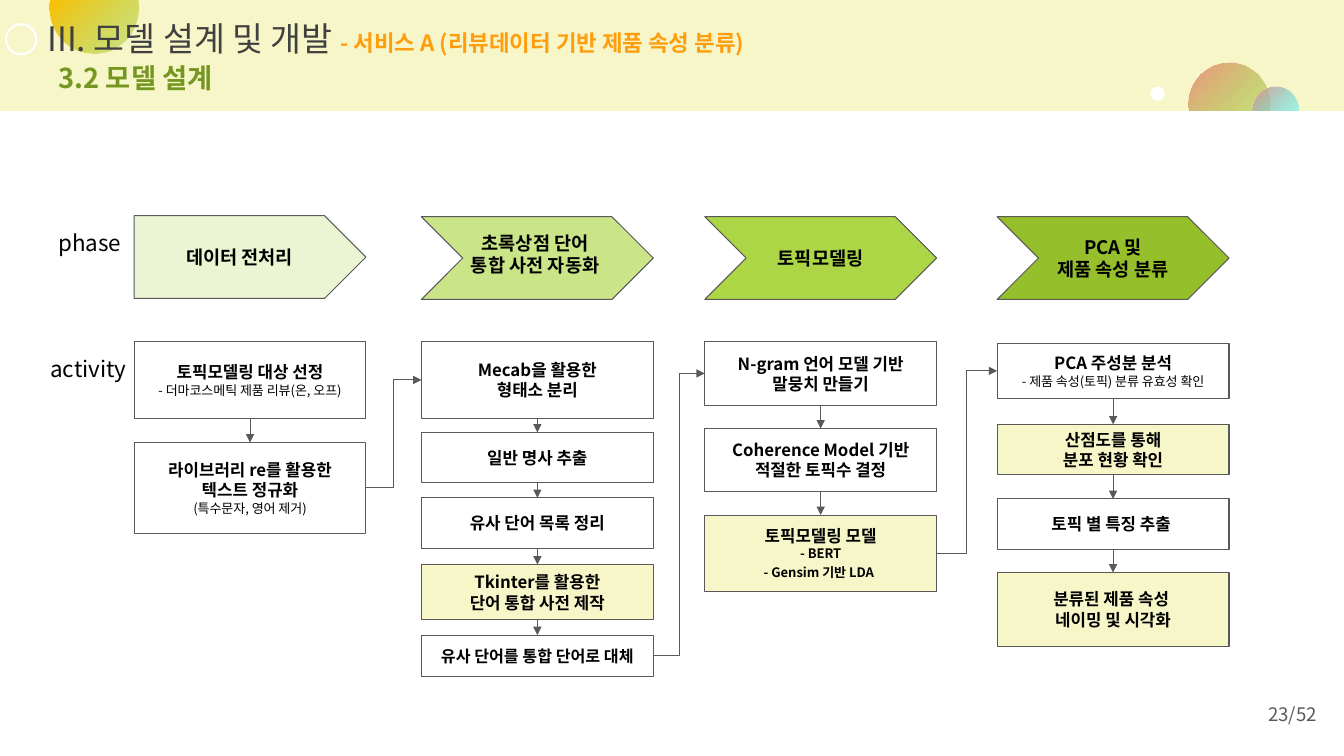
import math
from dataclasses import dataclass
from itertools import pairwise

from lxml import etree
from pptx import Presentation
from pptx.dml.color import RGBColor
from pptx.enum.shapes import MSO_CONNECTOR, MSO_SHAPE
from pptx.enum.text import MSO_ANCHOR, PP_ALIGN
from pptx.oxml.ns import qn
from pptx.util import Inches, Pt

RECTANGLE, OVAL = MSO_SHAPE.RECTANGLE, MSO_SHAPE.OVAL
CHEVRON, PENTAGON = MSO_SHAPE.CHEVRON, MSO_SHAPE.PENTAGON
STRAIGHT, ELBOW = MSO_CONNECTOR.STRAIGHT, MSO_CONNECTOR.ELBOW
LEFT, CENTER, RIGHT = PP_ALIGN.LEFT, PP_ALIGN.CENTER, PP_ALIGN.RIGHT
TOP, MIDDLE = MSO_ANCHOR.TOP, MSO_ANCHOR.MIDDLE
TOP_SIDE, LEFT_SIDE, BOTTOM_SIDE, RIGHT_SIDE = range(4)


@dataclass(frozen=True)
class Theme:
    font: str = "Noto Sans CJK KR"
    white: str = "FFFFFF"
    black: str = "000000"
    cream: str = "F6F6C9"
    outline: str = "595959"
    heading: str = "404040"
    service: str = "FF9D0D"
    section: str = "759721"
    title_size: float = 24
    section_size: float = 19.5
    label_size: float = 16
    phase_size: float = 13.3
    step_size: float = 12
    long_step_size: float = 11.5
    detail_size: float = 9.3
    hairline: float = 0.75


THEME = Theme()
SLIDE_WIDTH, SLIDE_HEIGHT = 13.33, 7.5
BANNER_HEIGHT = 1.1
CARD_WIDTH, PHASE_HEIGHT = 2.3, 0.82
CURVE_PULL = 0.55
CURVE_STARTS = (0, 3, 7, 10)


@dataclass(frozen=True)
class Run:
    text: str
    size: float = THEME.step_size
    bold: bool = True
    color: str = THEME.black


@dataclass(frozen=True)
class Area:
    left: float
    top: float
    width: float
    height: float

    def emu(self) -> list:
        return [Inches(v) for v in (self.left, self.top, self.width, self.height)]


@dataclass(frozen=True)
class Dome:
    x: float
    y: float
    radius: float
    edge: float
    angle: int
    stops: tuple

    def outline(self) -> list:
        depth = self.edge - self.y
        away = -math.copysign(self.radius, depth)
        half_chord = math.sqrt(self.radius ** 2 - depth ** 2)
        pull = CURVE_PULL * self.radius
        side = [(pull, away), (self.radius, CURVE_PULL * away), (self.radius, 0),
                (self.radius, depth / 3), (self.radius, depth * 2 / 3), (half_chord, depth)]
        offsets = [(0, away), *((-dx, dy) for dx, dy in side), *reversed(side), (0, away)]
        return [(Inches(self.x + dx), Inches(self.y + dy)) for dx, dy in offsets]


@dataclass(frozen=True)
class Step:
    top: float
    height: float
    lines: tuple
    fill: str = THEME.white


@dataclass(frozen=True)
class Phase:
    left: float
    top: float
    outline: int
    fill: str
    lines: tuple
    steps: tuple


def phase_run(text: str) -> Run:
    return Run(text, THEME.phase_size)


def detail(text: str, bold: bool = False) -> Run:
    return Run(text, THEME.detail_size, bold)


DOMES = (
    Dome(0.93, 0.09, 0.44, 0, 315, (("FFC000", 100), ("9ACD32", 40))),
    Dome(12.19, 1.02, 0.4, BANNER_HEIGHT, 135, (("9ACD32", 50), ("F19182", 100))),
    Dome(12.65, 1.09, 0.23, BANNER_HEIGHT, 135, (("31EAFE", 40), ("F19182", 100))),
)

PHASES = (
    Phase(1.33, 2.14, PENTAGON, "EBF5D3", (phase_run("데이터 전처리"),), (
        Step(3.39, 0.76, (Run("토픽모델링 대상 선정"), detail("- 더마코스메틱 제품 리뷰(온, 오프)"))),
        Step(4.39, 0.9, (Run("라이브러리 re를 활용한"), Run("텍스트 정규화"), detail("(특수문자, 영어 제거)"))),
    )),
    Phase(4.18, 2.15, CHEVRON, "CAE488", (), (
        Step(3.39, 0.76, (Run("Mecab을 활용한"), Run("형태소 분리"))),
        Step(4.29, 0.5, (Run("일반 명사 추출"),)),
        Step(4.94, 0.5, (Run("유사 단어 목록 정리"),)),
        Step(5.6, 0.55, (Run("Tkinter를 활용한"), Run("단어 통합 사전 제작")), THEME.cream),
        Step(6.3, 0.41, (Run("유사 단어를 통합 단어로 대체", THEME.long_step_size),)),
    )),
    Phase(6.99, 2.15, CHEVRON, "ADD646", (phase_run("토픽모델링"),), (
        Step(3.39, 0.63, (Run("N-gram 언어 모델 기반"), Run("말뭉치 만들기"))),
        Step(4.25, 0.63, (Run("Coherence Model 기반"), Run("적절한 토픽수 결정"))),
        Step(5.11, 0.76, (Run("토픽모델링 모델"), detail("- BERT", True),
                          (detail("- Gensim 기반 LDA", True), Run(" "))), THEME.cream),
    )),
    Phase(9.89, 2.15, CHEVRON, "95BF2B", (phase_run("PCA 및"), phase_run("제품 속성 분류")), (
        Step(3.41, 0.54, (Run("PCA 주성분 분석"), detail("- 제품 속성(토픽) 분류 유효성 확인"))),
        Step(4.21, 0.5, (Run("산점도를 통해"), Run("분포 현황 확인")), THEME.cream),
        Step(4.95, 0.5, (Run("토픽 별 특징 추출 "),)),
        Step(5.68, 0.73, (Run("분류된 제품 속성 "), Run("네이밍 및 시각화")), THEME.cream),
    )),
)


def rgb(color: str) -> RGBColor:
    return RGBColor.from_string(color)


def apply(target, values: dict) -> None:
    for name, value in values.items():
        setattr(target, name, value)


def write(shape, lines, align=CENTER, anchor=MIDDLE, inset: float = 0.13, indent: float = 0) -> None:
    frame = shape.text_frame
    margins = dict.fromkeys(("margin_left", "margin_top", "margin_right", "margin_bottom"), Inches(inset))
    apply(frame, {"word_wrap": True, "vertical_anchor": anchor, **margins})
    for index, line in enumerate(lines):
        paragraph = frame.add_paragraph() if index else frame.paragraphs[0]
        paragraph.alignment = align
        if indent:
            paragraph._p.get_or_add_pPr().set("marL", str(Inches(indent)))
        for part in line if isinstance(line, tuple) else (line,):
            run = paragraph.add_run()
            run.text = part.text
            apply(run.font, {"size": Pt(part.size), "bold": part.bold, "name": THEME.font})
            run.font.color.rgb = rgb(part.color)
            run.font._element.set("kern", "0")
            etree.SubElement(run.font._element, qn("a:ea"), typeface=THEME.font)


def add_label(slide, area: Area, lines, **layout) -> None:
    write(slide.shapes.add_textbox(*area.emu()), lines, **layout)


def add_block(slide, kind, area: Area, fill: str | None, line: str | None = THEME.outline,
              width: float = THEME.hairline):
    block = slide.shapes.add_shape(kind, *area.emu())
    block.shadow.inherit = False
    if fill:
        block.fill.solid()
        block.fill.fore_color.rgb = rgb(fill)
    else:
        block.fill.background()
    if line:
        block.line.color.rgb = rgb(line)
        block.line.width = Pt(width)
    else:
        block.line.fill.background()
    return block


def add_dome(slide, dome: Dome) -> None:
    start, *points = dome.outline()
    builder = slide.shapes.build_freeform(*start)
    builder.add_line_segments(points)
    shape = builder.convert_to_shape()
    segments = list(shape._element.iter(qn("a:lnTo")))
    for first in CURVE_STARTS:
        curve = etree.Element(qn("a:cubicBezTo"))
        segments[first].addprevious(curve)
        for segment in segments[first:first + 3]:
            curve.append(segment[0])
            segment.getparent().remove(segment)
    shape.shadow.inherit = False
    shape.line.fill.background()
    shape.fill.gradient()
    shape.fill.gradient_angle = dome.angle
    for stop, (color, _) in zip(shape.fill.gradient_stops, dome.stops):
        stop.color.rgb = rgb(color)
    for node, (_, opacity) in zip(shape._element.spPr.iter(qn("a:srgbClr")), dome.stops):
        etree.SubElement(node, qn("a:alpha"), val=str(opacity * 1000))


def add_arrow(slide, kind, source, source_side: int, target, target_side: int) -> None:
    arrow = slide.shapes.add_connector(kind, 0, 0, 0, 0)
    arrow.begin_connect(source, source_side)
    arrow.end_connect(target, target_side)
    arrow.line.color.rgb = rgb(THEME.outline)
    arrow.line.width = Pt(THEME.hairline)
    etree.SubElement(arrow.line._get_or_add_ln(), qn("a:tailEnd"), type="triangle")
    etree.SubElement(arrow._element.spPr, qn("a:effectLst"))


def add_header(slide) -> None:
    add_block(slide, RECTANGLE, Area(0, 0, SLIDE_WIDTH, BANNER_HEIGHT), THEME.cream, None)
    add_block(slide, OVAL, Area(0.06, 0.24, 0.3, 0.3), None, THEME.white, 1.5)
    for dome in DOMES:
        add_dome(slide, dome)
    add_block(slide, OVAL, Area(11.44, 0.89, 0.08, 0.08), THEME.white, THEME.white, 4.5)
    title = (Run("III. 모델 설계 및 개발 ", THEME.title_size, False, THEME.heading),
             Run("- 서비스 A (리뷰데이터 기반 제품 속성 분류)", THEME.label_size, True, THEME.service))
    section = Run("3.2 모델 설계", THEME.section_size, True, THEME.section)
    add_label(slide, Area(0.28, 0.05, 8.28, 0.64), [title], align=LEFT, anchor=TOP, indent=0.06)
    add_label(slide, Area(0.45, 0.48, 5.04, 0.49), [section], align=LEFT, anchor=TOP)


def add_phase(slide, phase: Phase) -> list:
    banner = add_block(slide, phase.outline, Area(phase.left, phase.top, CARD_WIDTH, PHASE_HEIGHT), phase.fill)
    write(banner, phase.lines)
    cards = []
    for step in phase.steps:
        card = add_block(slide, RECTANGLE, Area(phase.left, step.top, CARD_WIDTH, step.height), step.fill)
        write(card, step.lines)
        cards.append(card)
    for upper, lower in pairwise(cards):
        add_arrow(slide, STRAIGHT, upper, BOTTOM_SIDE, lower, TOP_SIDE)
    return cards


def main() -> None:
    deck = Presentation()
    apply(deck, {"slide_width": Inches(SLIDE_WIDTH), "slide_height": Inches(SLIDE_HEIGHT)})
    slide = deck.slides.add_slide(deck.slide_layouts[6])
    add_header(slide)
    for name, area in (("phase", Area(0.45, 2.14, 0.98, 0.46)), ("activity", Area(0.37, 3.39, 1.06, 0.46))):
        add_label(slide, area, [Run(name, THEME.label_size, False)], align=LEFT, anchor=TOP)
    columns = [add_phase(slide, phase) for phase in PHASES]
    for current, following in pairwise(columns):
        add_arrow(slide, ELBOW, current[-1], RIGHT_SIDE, following[0], LEFT_SIDE)
    dictionary = [phase_run("초록상점 단어 "), phase_run("통합 사전 자동화 ")]
    add_label(slide, Area(4.18, 2.17, CARD_WIDTH, 0.72), dictionary, anchor=TOP)
    page = Run("23/52", THEME.phase_size, False, THEME.outline)
    add_label(slide, Area(12.19, 6.8, 0.97, 0.57), [page], align=RIGHT, inset=0.1)
    deck.save("out.pptx")


if __name__ == "__main__":
    main()
